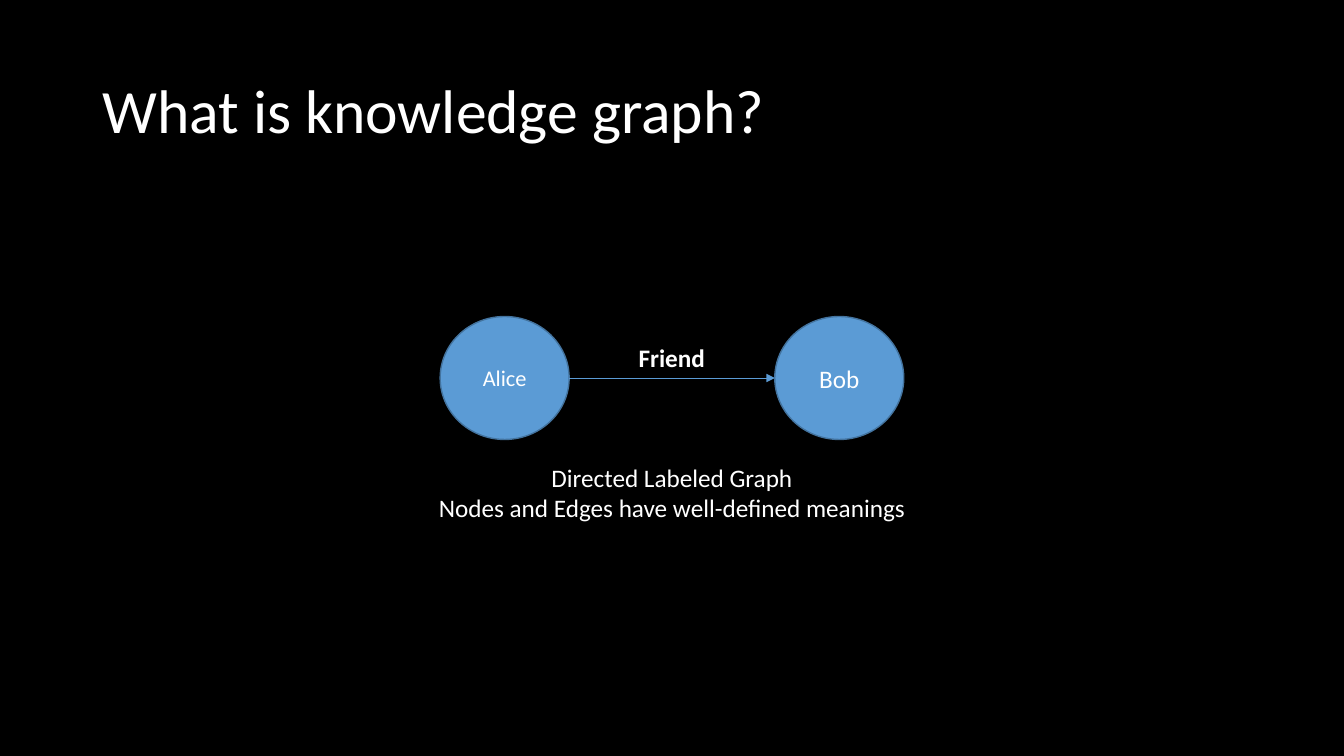
from lxml import etree
from pptx import Presentation
from pptx import util as u
from pptx.dml.color import RGBColor
from pptx.enum import shapes, text
from pptx.oxml.ns import qn


def colour(hex_string):
    return RGBColor.from_string(hex_string)


class GraphSlide:
    """Draws styled elements on one slide, placed in percent of its size."""

    font = "Calibri"
    ink = "FFFFFF"
    node_fill = "5B9BD5"
    node_line = "43739E"

    def __init__(self, presentation):
        self.width = presentation.slide_width
        self.height = presentation.slide_height
        self.slide = presentation.slides.add_slide(presentation.slide_layouts[6])
        background = self.slide.background.fill
        background.solid()
        background.fore_color.rgb = colour("000000")

    def x(self, percent):
        return u.Emu(round(self.width * percent / 100))

    def y(self, percent):
        return u.Emu(round(self.height * percent / 100))

    def box(self, left, top, width, height):
        return self.x(left), self.y(top), self.x(width), self.y(height)

    def set_words(self, shape, words, size, align, bold=False):
        shape.text_frame.text = words
        for paragraph in shape.text_frame.paragraphs:
            paragraph.alignment = align
            for run in paragraph.runs:
                run.font.name = self.font
                run.font.size = u.Pt(size)
                run.font.bold = bold
                run.font.color.rgb = colour(self.ink)

    def title(self, words, *place):
        shape = self.slide.shapes.add_textbox(*self.box(*place))
        self.set_words(shape, words, 44, text.PP_ALIGN.LEFT)
        frame = shape.text_frame
        frame.word_wrap = True
        frame.vertical_anchor = text.MSO_ANCHOR.MIDDLE
        frame.paragraphs[0].line_spacing = 0.9

    def label(self, words, centre, top, width, height, align, bold=False):
        place = self.box(centre - width / 2, top, width, height)
        shape = self.slide.shapes.add_textbox(*place)
        self.set_words(shape, words, 18, align, bold)
        shape.text_frame.word_wrap = False
        shape.text_frame.auto_size = text.MSO_AUTO_SIZE.SHAPE_TO_FIT_TEXT

    def node(self, name, centre, middle, width, height, size):
        place = self.box(centre - width / 2, middle - height / 2, width, height)
        shape = self.slide.shapes.add_shape(shapes.MSO_SHAPE.OVAL, *place)
        shape.shadow.inherit = False
        shape.fill.solid()
        shape.fill.fore_color.rgb = colour(self.node_fill)
        shape.line.color.rgb = colour(self.node_line)
        shape.line.width = u.Pt(1)
        self.set_words(shape, name, size, text.PP_ALIGN.CENTER)
        shape.text_frame.vertical_anchor = text.MSO_ANCHOR.MIDDLE

    def edge(self, start, end, middle):
        connector = self.slide.shapes.add_connector(
            shapes.MSO_CONNECTOR.STRAIGHT,
            self.x(start), self.y(middle), self.x(end), self.y(middle))
        connector.line.color.rgb = colour(self.node_fill)
        connector.line.width = u.Pt(0.5)
        properties = connector._element.spPr
        outline = properties.find(qn("a:ln"))
        etree.SubElement(outline, qn("a:tailEnd"), type="triangle")
        etree.SubElement(properties, qn("a:effectLst"))


def main():
    presentation = Presentation()
    presentation.slide_width = u.Inches(13.33)
    presentation.slide_height = u.Inches(7.5)
    graph = GraphSlide(presentation)

    centre, middle, offset = 50, 50, 12.45
    node_width, node_height = 9.6, 16.27
    alice, bob = centre - offset, centre + offset

    graph.title("What is knowledge graph?", 6.9, 5.33, 86.25, 19.33)
    graph.node("Alice", alice, middle, node_width, node_height, 16)
    graph.edge(alice + node_width / 2, bob - node_width / 2, middle)
    graph.node("Bob", bob, middle, node_width, node_height, 18)
    graph.label("Friend", centre, 44.67, 6.45, 5.33, text.PP_ALIGN.LEFT, bold=True)
    graph.label("Directed Labeled Graph\nNodes and Edges have well-defined meanings",
                centre, 60.53, 36.68, 9.47, text.PP_ALIGN.CENTER)

    presentation.save("out.pptx")


if __name__ == "__main__":
    main()
